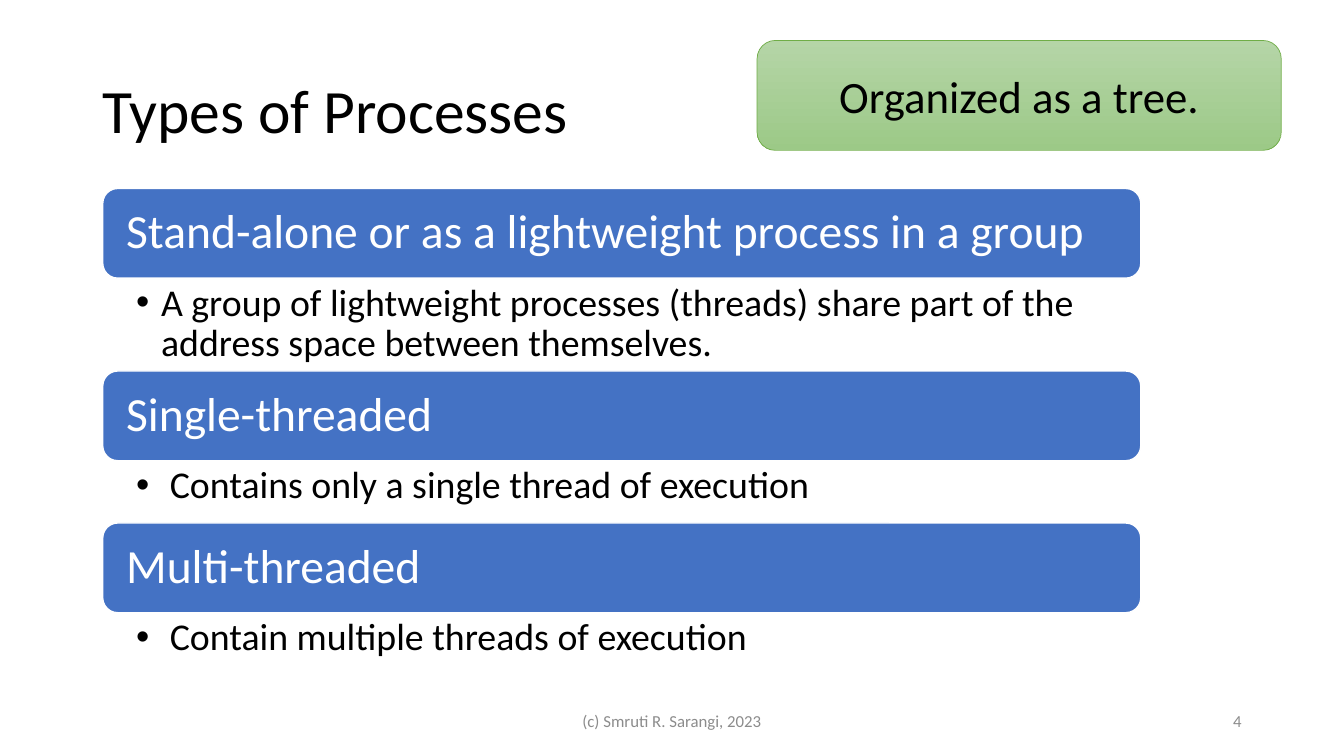
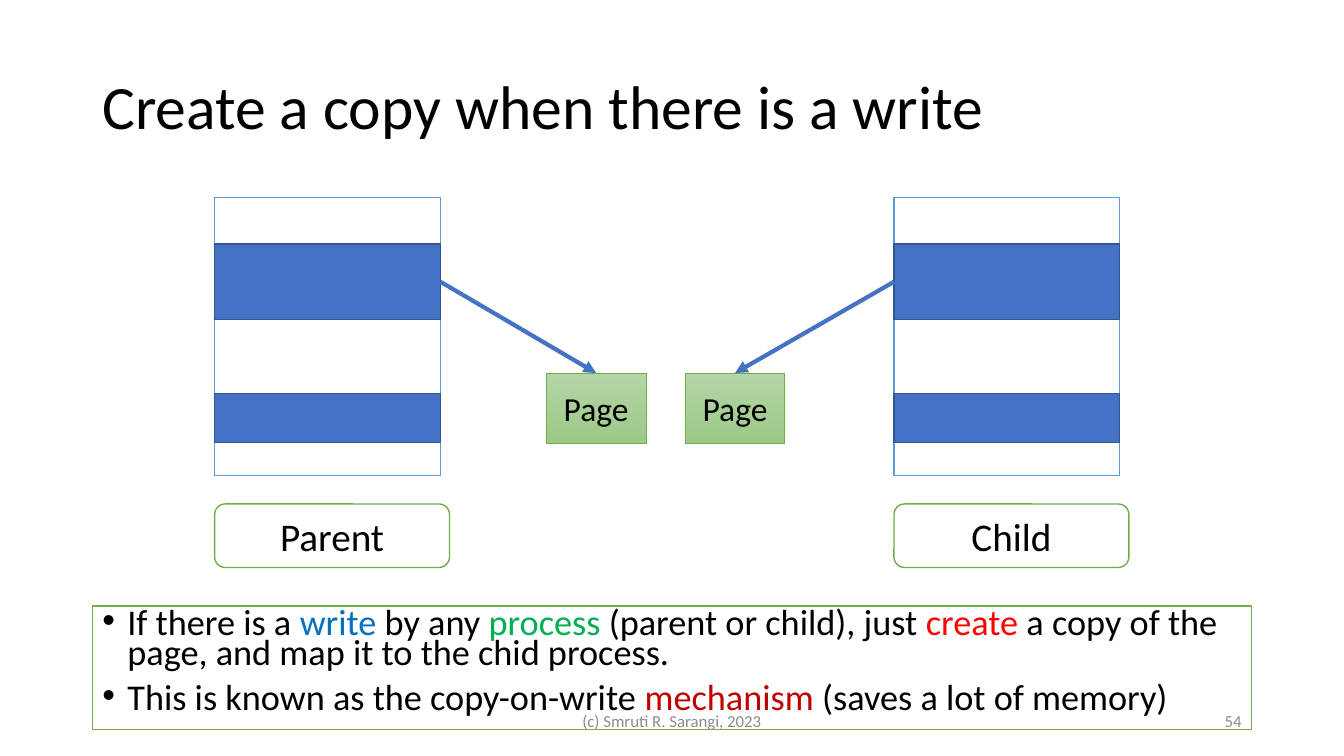
from pptx import Presentation
from pptx import util as u
from pptx.dml.color import RGBColor
from pptx.enum import shapes, text
from pptx.oxml.ns import qn
from lxml import etree

COLORS = {
    "black": "000000", "white": "FFFFFF", "grey": "8C8C8C",
    "blue": "4472C4", "navy": "325491", "sky": "5B9BD5",
    "green": "70AD47", "light_top": "B5D5A7", "light_bottom": "9CC987",
    "write": "0070C0", "process": "00B050", "create": "FF0000", "mechanism": "C00000",
}
RGB = {name: RGBColor.from_string(value) for name, value in COLORS.items()}
FONT = "Calibri"
RECT = shapes.MSO_SHAPE.RECTANGLE
ROUND = shapes.MSO_SHAPE.ROUNDED_RECTANGLE
LEFT, CENTER, RIGHT = text.PP_ALIGN.LEFT, text.PP_ALIGN.CENTER, text.PP_ALIGN.RIGHT
TOP, MIDDLE = text.MSO_ANCHOR.TOP, text.MSO_ANCHOR.MIDDLE


def add_text(sp, paragraphs, size=18, color="black", align=LEFT, anchor=MIDDLE,
             spacing=1.0, before=0, bullet=0, insets=(0.25, 0.13, 0.25, 0.13)):
    tf = sp.text_frame
    tf.word_wrap = True
    tf.vertical_anchor = anchor
    tf.margin_left, tf.margin_top, tf.margin_right, tf.margin_bottom = map(u.Cm, insets)
    if isinstance(paragraphs, str):
        paragraphs = [[(paragraphs, color)]]
    for i, runs in enumerate(paragraphs):
        p = tf.add_paragraph() if i else tf.paragraphs[0]
        p.alignment = align
        p.line_spacing = spacing
        p.space_before = u.Pt(before)
        if bullet:
            pPr = p._p.get_or_add_pPr()
            pPr.set("marL", str(u.Cm(bullet)))
            pPr.set("indent", str(-u.Cm(bullet)))
            etree.SubElement(pPr, qn("a:buFont"), typeface="Arial")
            etree.SubElement(pPr, qn("a:buChar"), char="•")
        for words, run_color in runs:
            r = p.add_run()
            r.text = words
            r.font.name = FONT
            r.font.size = u.Pt(size)
            r.font.color.rgb = RGB[run_color]


def add_box(s, kind, at, fill, line, width=1):
    sp = s.shapes.add_shape(kind, *map(u.Cm, at))
    sp.shadow.inherit = False
    if fill == "gradient":
        sp.fill.gradient()
        sp.fill.gradient_angle = 270
        for stop, name in zip(sp.fill.gradient_stops, ("light_top", "light_bottom")):
            stop.color.rgb = RGB[name]
    else:
        sp.fill.solid()
        sp.fill.fore_color.rgb = RGB[fill]
    sp.line.color.rgb = RGB[line]
    sp.line.width = u.Pt(width)
    return sp


prs = Presentation()
prs.slide_width, prs.slide_height = u.Cm(33.87), u.Cm(19.05)
types_slide, copy_slide = [prs.slides.add_slide(prs.slide_layouts[6]) for _ in range(2)]

for s, title, top in [
    (types_slide, "Types of Processes", 1.02),
    (copy_slide, "Create a copy when there is a write", 0.91),
]:
    sp = s.shapes.add_textbox(u.Cm(2.33), u.Cm(top), u.Cm(29.21), u.Cm(3.68))
    add_text(sp, title, size=44, spacing=0.9)

process_types = [
    ("Stand-alone or as a lightweight process in a group",
     "A group of lightweight processes (threads) share part of the address space "
     "between themselves.", 2.34, 0.63),
    ("Single-threaded", "Contains only a single thread of execution", 1.57, 0.85),
    ("Multi-threaded", "Contain multiple threads of execution", 1.57, 0.85),
]
left, top, width, bar_height = 2.59, 4.75, 26.16, 2.26
for heading, detail, detail_height, indent in process_types:
    bar = add_box(types_slide, ROUND, (left, top, width, bar_height), "blue", "white")
    add_text(bar, heading, size=34, color="white", spacing=0.9,
             insets=(0.48, 0.36, 0.48, 0.36))
    top += bar_height
    sp = types_slide.shapes.add_textbox(u.Cm(left), u.Cm(top), u.Cm(width), u.Cm(detail_height))
    add_text(sp, detail, size=27, anchor=TOP, spacing=0.9, bullet=indent,
             insets=(0.84, 0.13, 0.66, 0.13))
    top += detail_height

note = add_box(types_slide, ROUND, (19.08, 1.02, 13.21, 2.77), "gradient", "green", 0.5)
add_text(note, "Organized as a tree.", size=32, align=CENTER)

body = add_box(copy_slide, RECT, (2.33, 15.27, 29.21, 3.12), "white", "green")
add_text(body, [
    [("If there is a ", "black"), ("write", "write"), (" by any ", "black"),
     ("process", "process"), (" (parent or child), just ", "black"), ("create", "create"),
     (" a copy of the page, and map it to the chid process.", "black")],
    [("This is known as the copy-on-write ", "black"), ("mechanism", "mechanism"),
     (" (saves a lot of memory)", "black")],
], size=25.9, anchor=TOP, spacing=0.7, before=10, bullet=0.63)

table_width, page_width, page_top = 5.69, 2.51, 9.4
for name, left, edge, page_left in [
    ("Parent", 5.41, 5.41 + table_width, 13.77),
    ("Child", 22.53, 22.53, 17.27),
]:
    for top, height, fill, line in [
        (4.98, 7.01, "white", "sky"),
        (6.15, 1.9, "blue", "navy"),
        (9.91, 1.24, "blue", "navy"),
    ]:
        add_box(copy_slide, RECT, (left, top, table_width, height), fill, line)
    label = add_box(copy_slide, ROUND, (left, 12.7, 5.92, 1.6), "white", "green")
    add_text(label, name, size=28, align=CENTER)
    page = add_box(copy_slide, RECT, (page_left, page_top, page_width, 1.78),
                   "gradient", "green", 0.5)
    add_text(page, "Page", size=24, align=CENTER)
    arrow = copy_slide.shapes.add_connector(
        shapes.MSO_CONNECTOR.STRAIGHT, u.Cm(edge), u.Cm(7.1),
        u.Cm(page_left + page_width / 2), u.Cm(page_top))
    arrow.line.color.rgb = RGB["blue"]
    arrow.line.width = u.Pt(3)
    etree.SubElement(arrow.line._get_or_add_ln(), qn("a:tailEnd"), type="triangle")
    etree.SubElement(arrow._element.spPr, qn("a:effectLst"))

for s, number in [(types_slide, "4"), (copy_slide, "54")]:
    for words, left, width, align in [
        ("(c) Smruti R. Sarangi, 2023", 11.22, 11.43, CENTER),
        (number, 23.92, 7.62, RIGHT),
    ]:
        sp = s.shapes.add_textbox(u.Cm(left), u.Cm(17.66), u.Cm(width), u.Cm(1.01))
        add_text(sp, words, size=12, color="grey", align=align)

prs.save("out.pptx")
